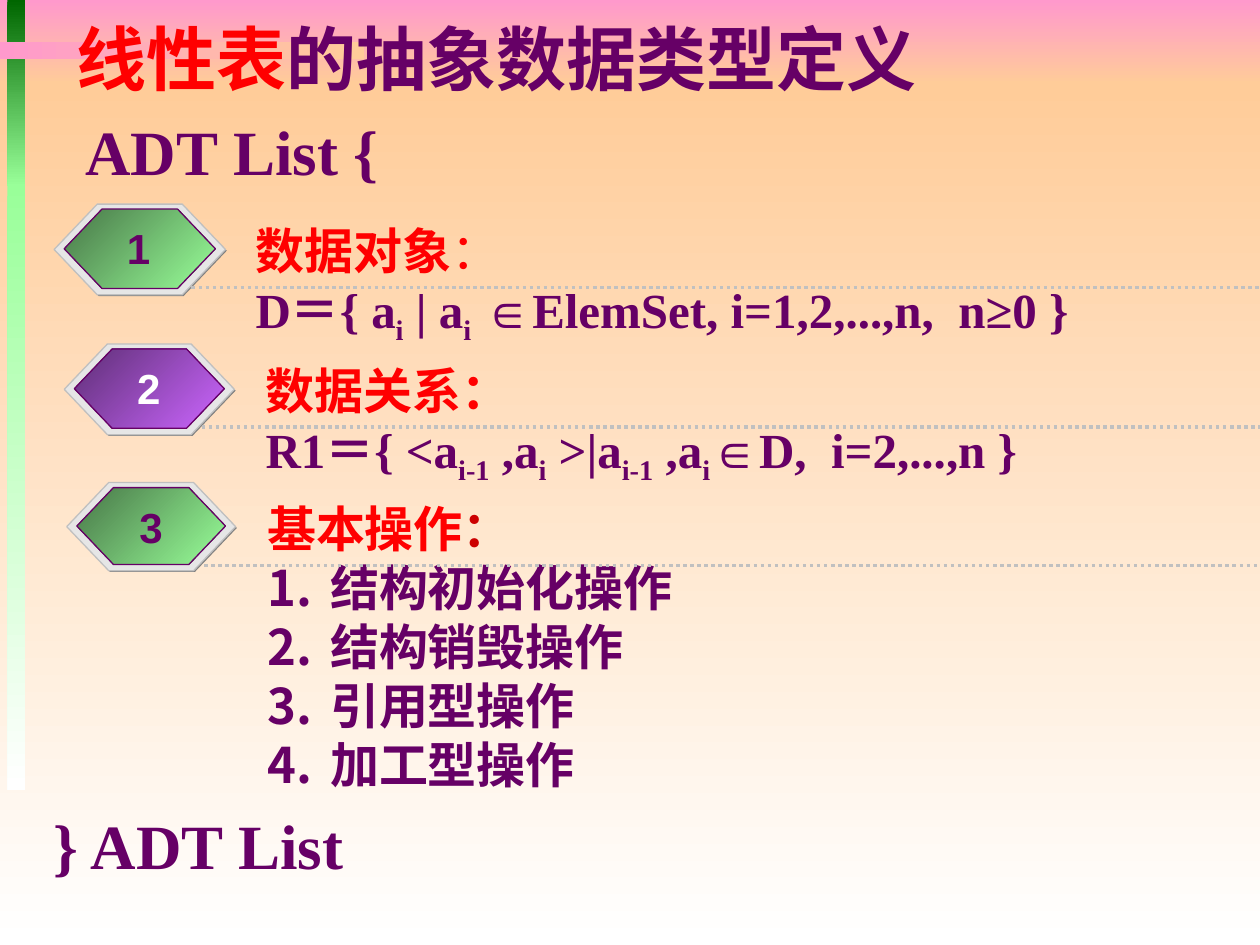
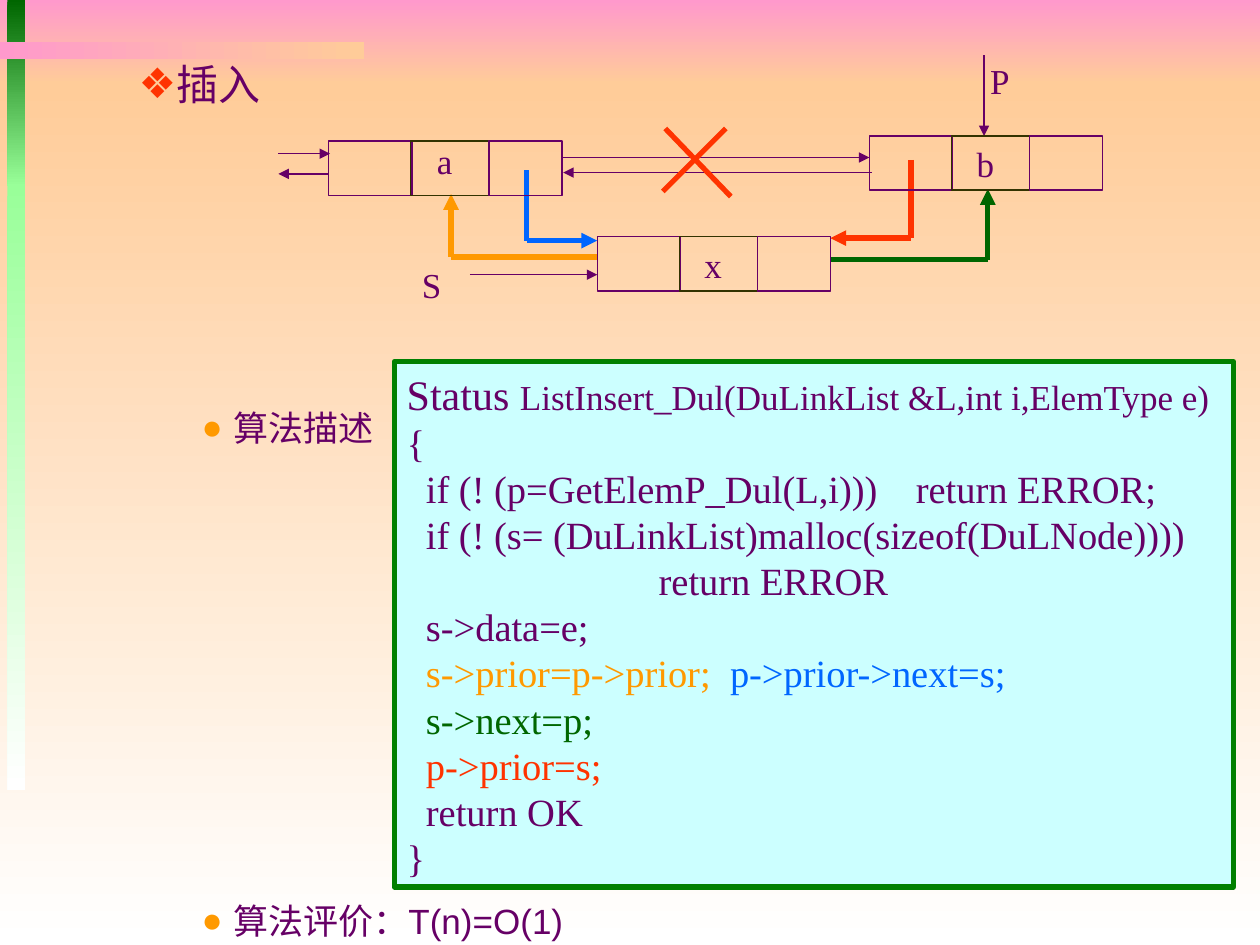
import itertools
from dataclasses import dataclass
from typing import Optional

import lxml.etree
import pptx
import pptx.dml.color
import pptx.enum.dml
import pptx.enum.shapes
import pptx.enum.text
import pptx.oxml.ns
import pptx.shapes.autoshape
import pptx.shapes.base
import pptx.slide
import pptx.text.text
import pptx.util

RGB = pptx.dml.color.RGBColor
SHAPE = pptx.enum.shapes.MSO_SHAPE
ALIGN = pptx.enum.text.PP_ALIGN
ANCHOR = pptx.enum.text.MSO_ANCHOR
qn = pptx.oxml.ns.qn

PURPLE = RGB(0x66, 0x00, 0x66)
RED = RGB(0xFF, 0x00, 0x00)
DARK_RED = RGB(0xCC, 0x00, 0x00)
WHITE = RGB(0xFF, 0xFF, 0xFF)
PINK = RGB(0xFF, 0x99, 0xCC)
PEACH = RGB(0xFF, 0xCC, 0x99)
GREEN = RGB(0x00, 0x66, 0x00)
LIGHT_GREEN = RGB(0x99, 0xFF, 0x99)
MOSS = RGB(0x47, 0x76, 0x47)
VIOLET = RGB(0x5E, 0x2F, 0x76)
LIGHT_VIOLET = RGB(0xCC, 0x66, 0xFF)
SILVER = RGB(0xC0, 0xC0, 0xC0)
GRAY = RGB(0x80, 0x80, 0x80)
PALE_GRAY = RGB(0xE6, 0xE6, 0xE6)
OLIVE = RGB(0x33, 0x33, 0x00)
ORANGE = RGB(0xFF, 0x99, 0x00)
ORANGE_RED = RGB(0xFF, 0x33, 0x00)
BLUE = RGB(0x00, 0x66, 0xFF)
CODE_FILL = RGB(0xCC, 0xFF, 0xFF)
CODE_LINE = RGB(0x00, 0x80, 0x00)

SERIF = "Times New Roman"
SANS = "Arial"
HAN = "Noto Sans CJK SC"
TITLE_FONT = "Roboto Condensed"
PX = 9144
Gradient = tuple[RGB, RGB, int]
Box = tuple[int, int, int, int]
Point = tuple[int, int]


@dataclass
class Band:
    box: Box
    fill: Gradient


@dataclass
class Section:
    number: str
    x: int
    y: int
    width: int
    height: int
    face: Gradient
    number_color: RGB


@dataclass
class Node:
    label: str
    x: int
    y: int
    label_dy: int = 0


@dataclass
class Link:
    points: list[Point]
    color: RGB = PURPLE
    width: float = 0.75
    arrow: bool = True


@dataclass
class Bullet:
    text: str
    y: int
    size: int
    mark: str
    color: RGB
    indent: int
    before: int


BANDS = [
    Band((0, 0, 1000, 67), (PINK, PEACH, 270)),
    Band((0, 67, 1000, 683), (PEACH, WHITE, 270)),
    Band((6, 0, 14, 148), (GREEN, LIGHT_GREEN, 270)),
    Band((6, 146, 14, 481), (LIGHT_GREEN, WHITE, 270)),
    Band((0, 33, 289, 14), (PINK, PEACH, 0)),
]
SECTIONS = [
    Section("1", 43, 162, 136, 72, (MOSS, LIGHT_GREEN, 315), PURPLE),
    Section("2", 51, 273, 135, 72, (VIOLET, LIGHT_VIOLET, 315), WHITE),
    Section("3", 53, 383, 134, 70, (MOSS, LIGHT_GREEN, 315), PURPLE),
]
OPERATIONS = ["结构初始化操作", "结构销毁操作", "引用型操作", "加工型操作"]
NODES = [Node("x", 474, 188), Node("a", 261, 112, -6), Node("b", 690, 108)]
CELLS = [(0, 66, PURPLE), (65, 62, OLIVE), (127, 58, PURPLE)]
LINKS = [
    Link([(418, 135), (418, 191), (474, 191)], BLUE, 3),
    Link([(474, 204), (358, 204), (358, 154)], ORANGE, 3),
    Link([(659, 206), (784, 206), (784, 150)], GREEN, 3),
    Link([(723, 127), (723, 189), (659, 189)], ORANGE_RED, 3),
    Link([(373, 218), (474, 218)]),
    Link([(221, 122), (262, 122)]),
    Link([(261, 138), (221, 138)]),
    Link([(447, 125), (690, 125)]),
    Link([(692, 137), (447, 137)]),
    Link([(781, 44), (781, 108)]),
    Link([(576, 102), (526, 152)], ORANGE_RED, 3, False),
    Link([(528, 102), (580, 156)], ORANGE_RED, 3, False),
]
BULLETS = [
    Bullet("插入", 33, 24, "❖", ORANGE_RED, 125, 6),
    Bullet("算法描述", 311, 20, "●", ORANGE, 175, 5),
    Bullet("算法评价：T(n)=O(1)", 702, 20, "●", ORANGE, 175, 5),
]
CODE = [
    [("{", PURPLE)],
    [("  if (! (p=GetElemP_Dul(L,i)))    return ERROR;", PURPLE)],
    [("  if (! (s= (DuLinkList)malloc(sizeof(DuLNode))))", PURPLE)],
    [("return ERROR", PURPLE)],
    [("  s->data=e;", PURPLE)],
    [("  s->prior=p->prior;  ", ORANGE), ("p->prior->next=s;", BLUE)],
    [("  s->next=p;", GREEN)],
    [("  p->prior=s;", ORANGE_RED)],
    [("  return OK", PURPLE)],
    [("}", PURPLE)],
]


def write(p: pptx.text.text._Paragraph, text: str, *, size: float, font: str = SERIF,
          color: RGB = PURPLE, bold: bool = False, sub: bool = False) -> None:
    r = p.add_run()
    r.text = text
    r.font.size = pptx.util.Pt(size)
    r.font.bold = bold
    r.font.color.rgb = color
    r.font.name = font
    rPr = r._r.get_or_add_rPr()
    lxml.etree.SubElement(rPr, qn("a:ea")).set("typeface", HAN)
    if sub:
        rPr.set("baseline", "-25000")


def new_paragraph(tf: pptx.text.text.TextFrame) -> pptx.text.text._Paragraph:
    p = tf.paragraphs[0]
    return tf.add_paragraph() if p.runs else p


def indent(p: pptx.text.text._Paragraph, left: int, first: int = 0) -> None:
    pPr = p._p.get_or_add_pPr()
    pPr.set("marL", str(left * PX))
    pPr.set("indent", str(first * PX))


def mark(p: pptx.text.text._Paragraph, color: Optional[RGB] = None,
         char: Optional[str] = None) -> None:
    pPr = p._p.get_or_add_pPr()
    if color is None:
        lxml.etree.SubElement(pPr, qn("a:buNone"))
        return
    clr = lxml.etree.SubElement(pPr, qn("a:buClr"))
    lxml.etree.SubElement(clr, qn("a:srgbClr")).set("val", str(color))
    if char:
        lxml.etree.SubElement(pPr, qn("a:buChar")).set("char", char)
    else:
        lxml.etree.SubElement(pPr, qn("a:buFont")).set("typeface", HAN)
        lxml.etree.SubElement(pPr, qn("a:buAutoNum")).set("type", "arabicPeriod")


def place(sp: pptx.shapes.base.BaseShape, box: Box,
          anchor: ANCHOR = ANCHOR.TOP) -> pptx.text.text.TextFrame:
    sp.left, sp.top, sp.width, sp.height = (v * PX for v in box)
    tf = sp.text_frame
    tf.auto_size = pptx.enum.text.MSO_AUTO_SIZE.NONE
    tf.word_wrap = True
    tf.vertical_anchor = anchor
    return tf


def add_box(s: pptx.slide.Slide, box: Box) -> pptx.text.text.TextFrame:
    return place(s.shapes.add_textbox(0, 0, 0, 0), box)


def add_label(s: pptx.slide.Slide, text: str, box: Box, **fmt) -> None:
    tf = add_box(s, box)
    tf.word_wrap = False
    p = tf.paragraphs[0]
    p.alignment = ALIGN.CENTER
    write(p, text, **fmt)


def add_shape(s: pptx.slide.Slide, kind: SHAPE, box: Box, fill: Optional[RGB | Gradient] = None,
              line: Optional[RGB] = None, width: float = 0.75) -> pptx.shapes.autoshape.Shape:
    sp = s.shapes.add_shape(kind, *(v * PX for v in box))
    sp.shadow.inherit = False
    if fill is None:
        sp.fill.background()
    elif isinstance(fill, RGB):
        sp.fill.solid()
        sp.fill.fore_color.rgb = fill
    else:
        sp.fill.gradient()
        sp.fill.gradient_angle = fill[2]
        for stop, color in zip(sp.fill.gradient_stops, fill):
            stop.color.rgb = color
    if line is None:
        sp.line.fill.background()
    else:
        sp.line.color.rgb = line
        sp.line.width = pptx.util.Pt(width)
    return sp


def add_link(s: pptx.slide.Slide, link: Link, dotted: bool = False) -> None:
    for start, end in itertools.pairwise(link.points):
        c = s.shapes.add_connector(pptx.enum.shapes.MSO_CONNECTOR.STRAIGHT,
                                   *(v * PX for v in start + end))
        c.line.color.rgb = link.color
        c.line.width = pptx.util.Pt(link.width)
        if dotted:
            c.line.dash_style = pptx.enum.dml.MSO_LINE.ROUND_DOT
        spPr = c.element.spPr
        if link.arrow and end == link.points[-1]:
            tail = lxml.etree.SubElement(spPr.find(qn("a:ln")), qn("a:tailEnd"))
            tail.set("type", "triangle")
        lxml.etree.SubElement(spPr, qn("a:effectLst"))


def add_bands(prs: pptx.presentation.Presentation, s: pptx.slide.Slide) -> None:
    tree = prs.slide_master.shapes.element
    for i, band in enumerate(BANDS):
        el = add_shape(s, SHAPE.RECTANGLE, band.box, band.fill).element
        el.xpath("./p:nvSpPr/p:cNvPr")[0].set("id", str(20 + i))
        tree.insert(2 + i, el)


def add_badge(s: pptx.slide.Slide, sec: Section) -> None:
    x, y, w, h = sec.x, sec.y, sec.width, sec.height
    for box, fill, line in [
        ((x + 1, y + 1, w, h), GRAY, None),
        ((x, y, w, h), PALE_GRAY, SILVER),
        ((x + 8, y + 4, w - 16, h - 9), sec.face, PURPLE),
    ]:
        add_shape(s, SHAPE.HEXAGON, box, fill, line).adjustments[0] = 0.476
    add_link(s, Link([(x + 109, y + 66), (1000, y + 66)], SILVER, 2, False), dotted=True)
    add_label(s, sec.number, (x + 48, y + 10, 38, 50), size=24, font=SANS,
              color=sec.number_color, bold=True)


def write_formula(tf: pptx.text.text.TextFrame, parts: list[str]) -> None:
    p = new_paragraph(tf)
    for i, part in enumerate(parts):
        write(p, part, size=28, bold=True, sub=i % 2 == 1)


def build_definition(prs: pptx.presentation.Presentation) -> None:
    s = prs.slides.add_slide(prs.slide_layouts[1])
    add_bands(prs, s)
    p = place(s.shapes.title, (51, 13, 756, 65), ANCHOR.MIDDLE).paragraphs[0]
    p.alignment = ALIGN.LEFT
    for text, color in [("线性表", RED), ("的抽象数据类型定义", PURPLE)]:
        write(p, text, size=40, font=TITLE_FONT, color=color, bold=True)
    for text, box in [("ADT List {", (58, 84, 280, 70)), ("} ADT List", (33, 635, 253, 70))]:
        write(add_box(s, box).paragraphs[0], text, size=36, bold=True)
    for sec in SECTIONS:
        add_badge(s, sec)
    data, relation, _ = [add_box(s, (sec.x + 150, sec.y + 8, 700, 110))
                         if sec.number != "3" else None for sec in SECTIONS]
    heading = dict(size=28, font=HAN, color=RED)
    write(data.paragraphs[0], "数据对象", bold=True, **heading)
    write(data.paragraphs[0], "：", **heading)
    write_formula(data, ["D＝{ a", "i", " | a", "i", " ∈ElemSet, i=1,2,...,n,  n≥0 }"])
    write(relation.paragraphs[0], "数据关系：", bold=True, **heading)
    write_formula(relation, ["R1＝{ <a", "i-1", " ,a", "i", " >|a", "i-1", " ,a", "i",
                             "∈D,  i=2,...,n }"])
    tf = place(s.placeholders[1], (202, 391, 690, 244))
    for text in ["基本操作", *OPERATIONS]:
        p = new_paragraph(tf)
        first = text == "基本操作"
        indent(p, 50, -50)
        mark(p, None if first else PURPLE)
        p.space_before = pptx.util.Pt(0)
        write(p, text, size=28, font=SANS, color=RED if first else PURPLE, bold=True)
        if first:
            write(p, "：", size=28, font=SANS, color=DARK_RED, bold=True)


def build_insertion(prs: pptx.presentation.Presentation) -> None:
    s = prs.slides.add_slide(prs.slide_layouts[4])
    for ph in list(s.placeholders):
        if ph.placeholder_format.idx not in (1, 2, 3):
            ph.element.getparent().remove(ph.element)
    for ph, item in zip(s.placeholders, BULLETS):
        p = place(ph, (0, item.y, 930, 48)).paragraphs[0]
        indent(p, item.indent, -25)
        mark(p, item.color, item.mark)
        p.space_before = pptx.util.Pt(0)
        ph.text_frame.margin_top = 5 * PX + pptx.util.Pt(item.before)
        write(p, item.text, size=item.size, font=SANS)
    for link in LINKS:
        add_link(s, link)
    for node in NODES:
        for dx, width, color in CELLS:
            add_shape(s, SHAPE.RECTANGLE, (node.x + dx, node.y, width, 43), line=color)
        add_label(s, node.label, (node.x + 75, node.y + node.label_dy, 34, 44), size=20)
    add_label(s, "S", (325, 204, 35, 44), size=20)
    add_label(s, "P", (776, 42, 35, 44), size=20)
    frame = add_shape(s, SHAPE.RECTANGLE, (313, 287, 666, 417), CODE_FILL, CODE_LINE, 3)
    tf = place(frame, (313, 287, 666, 417), ANCHOR.MIDDLE)
    write(tf.paragraphs[0], "Status ", size=24)
    write(tf.paragraphs[0], "ListInsert_Dul(DuLinkList &L,int i,ElemType e)", size=20)
    for line in CODE:
        p = new_paragraph(tf)
        for text, color in line:
            write(p, text, size=22, color=color)
        if line[0][0] == "return ERROR":
            indent(p, 200)
    for p in tf.paragraphs:
        p.alignment = ALIGN.LEFT


def main() -> None:
    prs = pptx.Presentation()
    prs.slide_width, prs.slide_height = 1000 * PX, 750 * PX
    build_definition(prs)
    build_insertion(prs)
    prs.save("out.pptx")


if __name__ == "__main__":
    main()
